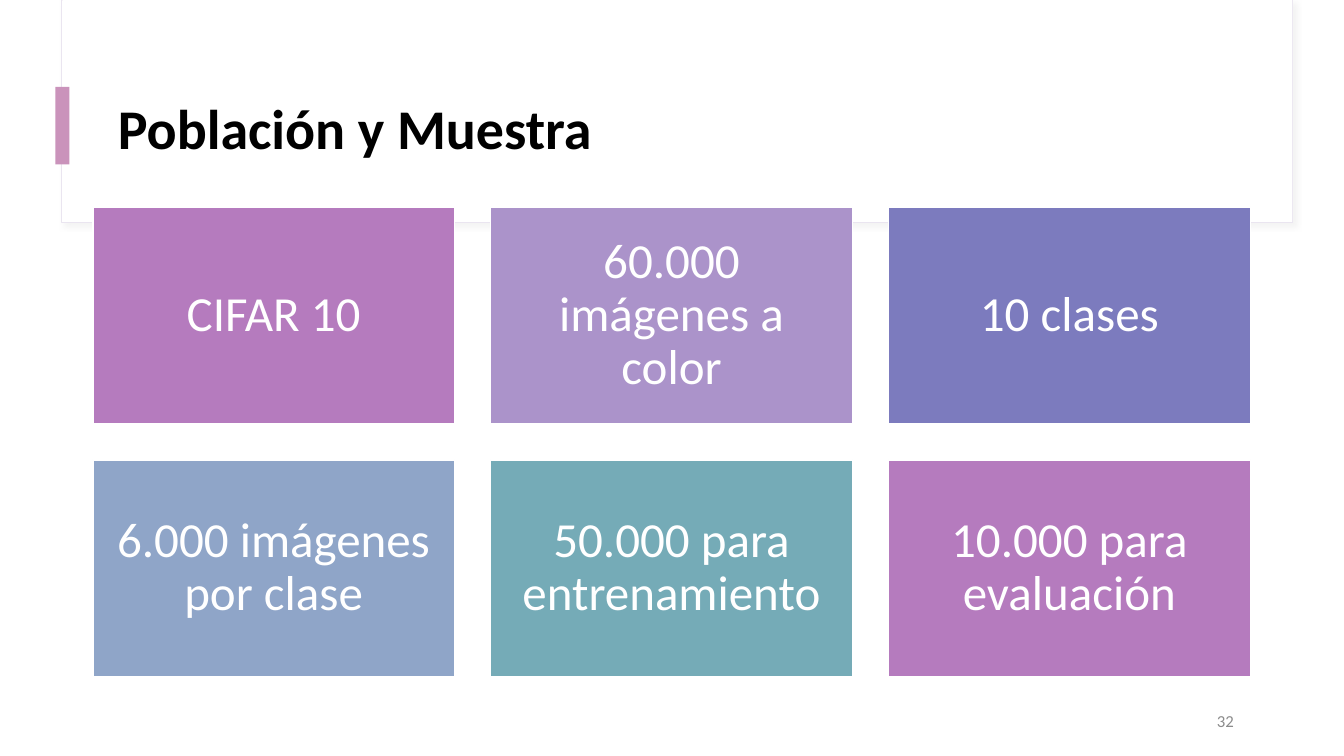
"""Build the slide on the population and sample of the CIFAR 10 data set."""
from dataclasses import dataclass
from typing import Any, Optional

from lxml.etree import SubElement
from pptx import Presentation
from pptx.dml.color import RGBColor
from pptx.enum.shapes import MSO_SHAPE as Shape
from pptx.enum.text import MSO_ANCHOR as Anchor, MSO_AUTO_SIZE as AutoSize, PP_ALIGN as Align
from pptx.oxml.ns import qn
from pptx.util import Pt

COLORS = {
    "white": "FFFFFF", "black": "000000", "gray": "8C8C8C", "frame": "EAE5F0",
    "shadow": "D9D9D9", "accent": "CA93BB", "orchid": "B57BBE", "lilac": "AB93CA",
    "indigo": "7C7BBE", "steel": "8FA5C8", "teal": "75ABB7",
}
COLUMNS = 3
CARD_LEFT, CARD_TOP = 66.4, 147.8
CARD_WIDTH, CARD_HEIGHT = 258.3, 155
CARD_STEP_X, CARD_STEP_Y = 284.2, 180.75


@dataclass(frozen=True)
class Block:
    left: float
    top: float
    width: float
    height: float
    fill: str
    line: Optional[str] = None
    line_width: float = 0


@dataclass(frozen=True)
class Fact:
    text: str
    fill: str


HEADER_FRAME = Block(43.9, 0, 879.1, 159.1, "white", "frame", 0.75)
HEADER_PANEL = Block(44.6, 0, 878.4, 158.4, "white")
HEADER_ACCENT = Block(39.6, 62, 10, 55.4, "accent")
FACTS = [
    Fact("CIFAR 10", "orchid"),
    Fact("60.000 imágenes a color", "lilac"),
    Fact("10 clases", "indigo"),
    Fact("6.000 imágenes por clase", "steel"),
    Fact("50.000 para entrenamiento", "teal"),
    Fact("10.000 para evaluación", "orchid"),
]


def rgb(name: str) -> RGBColor:
    """Return the named colour."""
    return RGBColor.from_string(COLORS[name])


def apply(target: Any, values: dict[str, Any]) -> None:
    """Set each format value on the target."""
    for attribute, value in values.items():
        setattr(target, attribute, value)


def draw_block(slide: Any, block: Block) -> Any:
    """Draw a filled rectangle with an optional outline."""
    rectangle = slide.shapes.add_shape(
        Shape.RECTANGLE, Pt(block.left), Pt(block.top), Pt(block.width), Pt(block.height))
    rectangle.shadow.inherit = False
    rectangle.fill.solid()
    rectangle.fill.fore_color.rgb = rgb(block.fill)
    if block.line:
        rectangle.line.color.rgb = rgb(block.line)
        rectangle.line.width = Pt(block.line_width)
    else:
        rectangle.line.fill.background()
    return rectangle


def cast_shadow(rectangle: Any) -> None:
    """Give the rectangle a soft shadow to its lower right."""
    effects = rectangle.element.spPr.find(qn("a:effectLst"))
    shadow = SubElement(effects, qn("a:outerShdw"), blurRad=str(Pt(4)), dist=str(Pt(3)),
                        dir="2700000", algn="tl", rotWithShape="0")
    color = SubElement(shadow, qn("a:srgbClr"), val=COLORS["shadow"])
    SubElement(color, qn("a:alpha"), val="30000")


def write(holder: Any, text: str, size: float, color: str, align: Align,
          bold: bool = False, spacing: float = 1.0, inset: Optional[float] = None) -> None:
    """Write one vertically centred paragraph into a shape."""
    frame = holder.text_frame
    frame.text = text
    apply(frame, {"word_wrap": True, "auto_size": AutoSize.NONE,
                  "vertical_anchor": Anchor.MIDDLE})
    if inset is not None:
        apply(frame, {f"margin_{side}": Pt(inset) for side in ("left", "top", "right", "bottom")})
    paragraph = frame.paragraphs[0]
    apply(paragraph, {"alignment": align, "line_spacing": spacing})
    for run in paragraph.runs:
        apply(run.font, {"name": "Calibri", "size": Pt(size), "bold": bold})
        run.font.color.rgb = rgb(color)


def draw_header(slide: Any) -> None:
    """Draw the header panel and place the title on it."""
    cast_shadow(draw_block(slide, HEADER_FRAME))
    for block in (HEADER_PANEL, HEADER_ACCENT):
        draw_block(slide, block)
    title = slide.shapes.title
    title.element.getparent().append(title.element)
    apply(title, {"left": Pt(77), "top": Pt(51.1), "width": Pt(827.3), "height": Pt(85)})
    write(title, "Población y Muestra", 40, "black", Align.LEFT, bold=True, spacing=0.9)


def draw_facts(slide: Any) -> None:
    """Lay the facts out as a grid of cards."""
    for index, fact in enumerate(FACTS):
        row, column = divmod(index, COLUMNS)
        card = draw_block(slide, Block(
            CARD_LEFT + column * CARD_STEP_X, CARD_TOP + row * CARD_STEP_Y,
            CARD_WIDTH, CARD_HEIGHT, fact.fill, "white", 1))
        write(card, fact.text, 35, "white", Align.CENTER, spacing=0.9, inset=10.5)


def main() -> None:
    """Build and save the presentation."""
    deck = Presentation()
    apply(deck, {"slide_width": Pt(960), "slide_height": Pt(540)})
    slide = deck.slides.add_slide(deck.slide_layouts[5])
    draw_header(slide)
    draw_facts(slide)
    page_number = slide.shapes.add_textbox(Pt(672.5), Pt(500.5), Pt(216), Pt(28.75))
    write(page_number, "32", 12, "gray", Align.RIGHT)
    deck.save("out.pptx")


if __name__ == "__main__":
    main()
